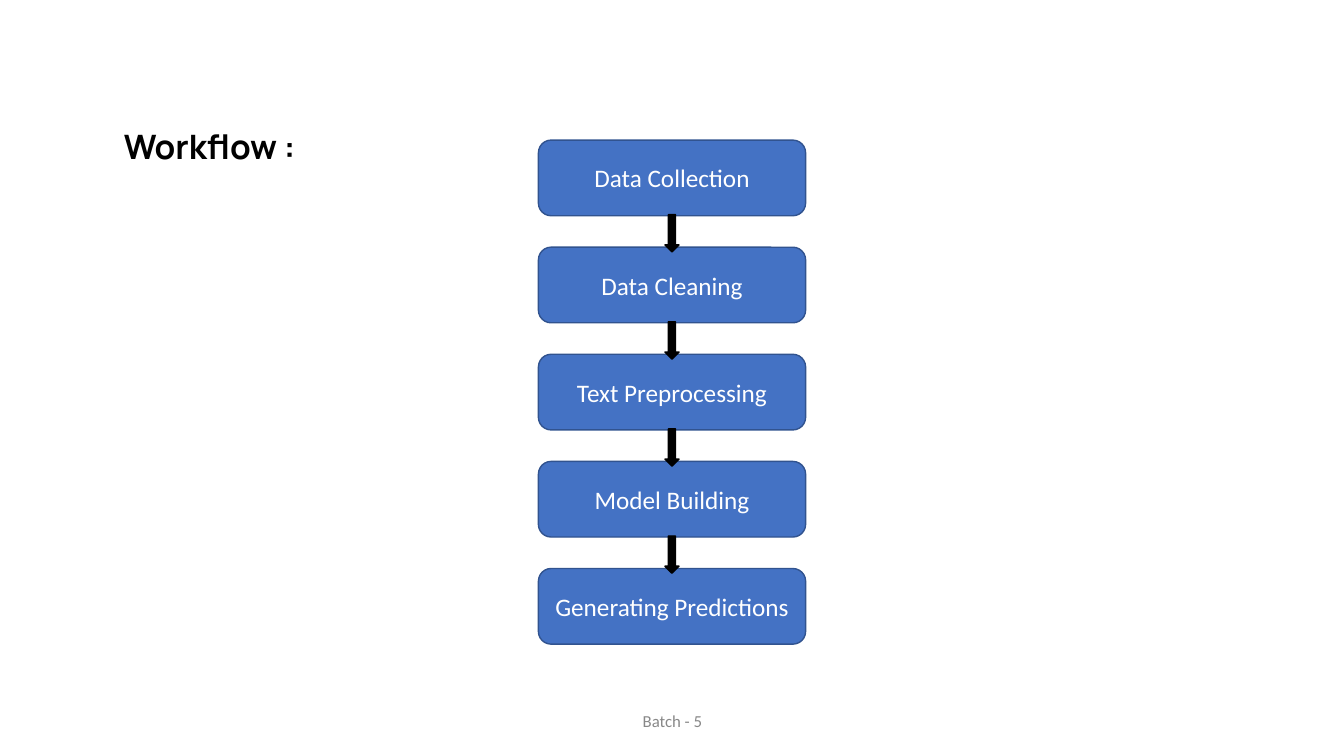
from pptx import Presentation
from pptx.dml.color import RGBColor
from pptx.enum.shapes import MSO_SHAPE
from pptx.enum.text import MSO_ANCHOR, PP_ALIGN
from pptx.util import Pt

PX = 9144
BLUE = RGBColor(0x44, 0x72, 0xC4)
NAVY = RGBColor(0x31, 0x53, 0x8F)
BLACK = RGBColor(0x00, 0x00, 0x00)
WHITE = RGBColor(0xFF, 0xFF, 0xFF)
GRAY = RGBColor(0x88, 0x88, 0x88)
ROUNDED = MSO_SHAPE.ROUNDED_RECTANGLE
DOWN_ARROW = MSO_SHAPE.DOWN_ARROW
MIDDLE, TOP = MSO_ANCHOR.MIDDLE, MSO_ANCHOR.TOP
CENTER, LEFT = PP_ALIGN.CENTER, PP_ALIGN.LEFT

STEPS = [
    "Data Collection",
    "Data Cleaning",
    "Text Preprocessing",
    "Model Building",
    "Generating Predictions",
]
STEP_HEIGHT = 75
ARROW_WIDTH, ARROW_HEIGHT = 14, 37
ARROW_OVERLAP = 1


def emu(*lengths):
    return [round(length * PX) for length in lengths]


def write(holder, text, size, color, font="Calibri", bold=False,
          align=CENTER, anchor=MIDDLE):
    frame = holder.text_frame
    frame.text = text
    frame.word_wrap = True
    frame.vertical_anchor = anchor
    paragraph = frame.paragraphs[0]
    paragraph.alignment = align
    style = paragraph.runs[0].font
    style.name, style.size, style.bold = font, Pt(size), bold
    style.color.rgb = color


def add_filled(slide, preset, box, fill, line):
    shape = slide.shapes.add_shape(preset, *emu(*box))
    shape.shadow.inherit = False
    shape.fill.solid()
    shape.fill.fore_color.rgb = fill
    shape.line.color.rgb = line
    shape.line.width = Pt(1)
    return shape


def add_heading(slide, box):
    heading = slide.shapes.add_textbox(*emu(*box))
    write(heading, "Workflow :", 24, BLACK, "Manrope", True, LEFT, TOP)


def add_footer(slide, box):
    footer = slide.shapes.add_textbox(*emu(*box))
    write(footer, "Batch - 5", 12, GRAY)


def add_workflow(slide, box):
    left, top, width, height = box
    pitch = (height - STEP_HEIGHT) / (len(STEPS) - 1)
    step_tops = [top + pitch * index for index in range(len(STEPS))]
    for label, step_top in zip(STEPS, step_tops):
        step = add_filled(slide, ROUNDED, (left, step_top, width, STEP_HEIGHT),
                          BLUE, NAVY)
        write(step, label, 18, WHITE)
    arrow_left = left + (width - ARROW_WIDTH) / 2
    for step_top in step_tops[:-1]:
        arrow_top = step_top + STEP_HEIGHT - ARROW_OVERLAP
        add_filled(slide, DOWN_ARROW,
                   (arrow_left, arrow_top, ARROW_WIDTH, ARROW_HEIGHT),
                   BLACK, BLACK)


def main():
    deck = Presentation()
    deck.slide_width, deck.slide_height = emu(1333, 750)
    slide = deck.slides.add_slide(deck.slide_layouts[6])
    add_footer(slide, (442, 695, 450, 40))
    add_workflow(slide, (534, 139, 265, 500))
    add_heading(slide, (113, 120, 202, 50))
    deck.save("out.pptx")


if __name__ == "__main__":
    main()
